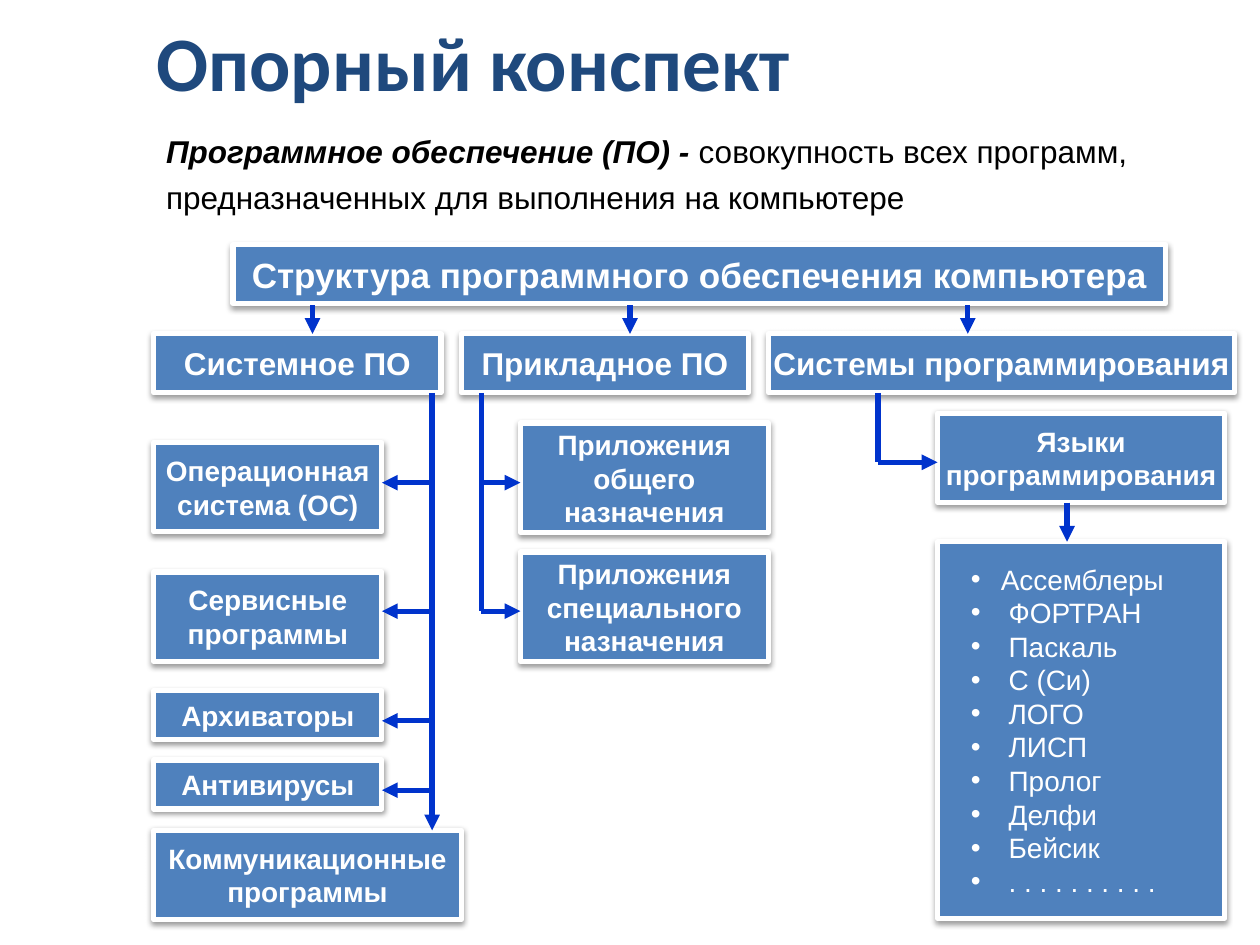
from lxml import etree
from pptx import Presentation
from pptx.dml.color import RGBColor
from pptx.enum import shapes, text
from pptx.oxml import ns
from pptx.util import Cm, Pt

BLUE, WHITE, INK, NAVY, BLACK = "4F81BD", "FFFFFF", "0033CC", "1F497D", "000000"
TITLE = "Опорный конспект"
TERM = "Программное обеспечение (ПО) -"
MEANING = [" совокупность всех программ,",
           "предназначенных для выполнения на компьютере"]
LANGS = ["Ассемблеры", "ФОРТРАН", "Паскаль", "С (Си)", "ЛОГО", "ЛИСП",
         "Пролог", "Делфи", "Бейсик", ". . . . . . . . . ."]

ROW, LEFT, APP, LANG = 6.73, 3.1, 10.49, 18.9
BOXES = [
    ("Структура программного обеспечения компьютера", 20, 4.7, 4.93, 18.8, 1.19),
    ("Системное ПО", 18, LEFT, ROW, 5.79, 1.19),
    ("Прикладное ПО", 18, 9.3, ROW, 5.79, 1.19),
    ("Системы программирования", 18, 15.49, ROW, 9.4, 1.19),
    ("Операционная\nсистема (ОС)", 16, LEFT, 8.92, 4.6, 1.8),
    ("Сервисные\nпрограммы", 16, LEFT, 11.53, 4.6, 1.8),
    ("Архиваторы", 16, LEFT, 13.92, 4.6, 0.99),
    ("Антивирусы", 16, LEFT, 15.32, 4.6, 0.99),
    ("Коммуникационные\nпрограммы", 16, LEFT, 16.74, 6.2, 1.8),
    ("Приложения\nобщего\nназначения", 16, APP, 8.53, 5, 2.21),
    ("Приложения\nспециального\nназначения", 16, APP, 11.13, 5, 2.21),
    ("Языки\nпрограммирования", 16, LANG, 8.33, 5.79, 1.8),
]
BASE = ROW + 1.19
SYS, USE, DEV = 8.71, 9.7, 17.7
TRUNKS = [(USE, BASE, USE, 12.32), (DEV, BASE, DEV, 9.32)]
ARROWS = [(x, 6.15, x, ROW) for x in (6.3, 12.7, 19.51)]
ARROWS += [(SYS, BASE, SYS, 16.74), (21.51, 10.13, 21.51, 10.92),
           (DEV, 9.32, LANG, 9.32)]
ARROWS += [(SYS, y, 7.7, y) for y in (9.73, 12.32, 14.53, 15.93)]
ARROWS += [(USE, y, APP, y) for y in (9.73, 12.32)]


def color(code):
    return RGBColor.from_string(code)


def place(shape, *spot):
    shape.left, shape.top, shape.width, shape.height = map(Cm, spot)


def style(font, size, code, bold=False, name="Arial"):
    font.size, font.bold, font.name = Pt(size), bold, name
    font.color.rgb = color(code)


def write(shape, lines, size, code, bold=False, wrap=True):
    frame = shape.text_frame
    frame.text = "\n".join(lines)
    frame.word_wrap = wrap
    frame.auto_size = text.MSO_AUTO_SIZE.NONE
    frame.vertical_anchor = text.MSO_ANCHOR.MIDDLE
    for para in frame.paragraphs:
        para.space_before = Pt(0)
        style(para.font, size, code, bold)
    return frame.paragraphs


def panel(shape):
    shape.fill.solid()
    shape.fill.fore_color.rgb = color(BLUE)
    shape.line.color.rgb = color(WHITE)
    shape.line.width = Pt(3)
    shape.shadow.inherit = False
    effects = shape._element.spPr.find(ns.qn("a:effectLst"))
    shade = etree.SubElement(effects, ns.qn("a:outerShdw"), blurRad="40000",
                             dist="20000", dir="5400000", rotWithShape="0")
    tint = etree.SubElement(shade, ns.qn("a:srgbClr"), val=BLACK)
    etree.SubElement(tint, ns.qn("a:alpha"), val="38000")


def link(slide, ends, tip):
    line = slide.shapes.add_connector(shapes.MSO_CONNECTOR.STRAIGHT, *map(Cm, ends))
    line.line.color.rgb = color(INK)
    line.line.width = Pt(3)
    props = line._element.spPr
    if tip:
        etree.SubElement(props.find(ns.qn("a:ln")), ns.qn("a:tailEnd"), type="triangle")
    etree.SubElement(props, ns.qn("a:effectLst"))


def main():
    deck = Presentation()
    deck.slide_width, deck.slide_height = Cm(25.4), Cm(19.05)
    slide = deck.slides.add_slide(deck.slide_layouts[1])

    title = slide.shapes.title
    place(title, 2.9, 0.53, 21.23, 1.75)
    head = write(title, [TITLE], 44, NAVY, True)[0]
    head.font.name = "Calibri"
    head.alignment, head.line_spacing = text.PP_ALIGN.LEFT, 0.8

    note = slide.shapes.add_textbox(Cm(LEFT), Cm(2.31), Cm(21.62), Cm(2.39))
    note.fill.solid()
    note.fill.fore_color.rgb = color(WHITE)
    paras = write(note, [TERM, MEANING[1]], 18, BLACK)
    for para in paras:
        para.alignment, para.space_before = text.PP_ALIGN.JUSTIFY, Pt(4.5)
    term = paras[0].runs[0].font
    term.bold = term.italic = True
    paras[0].add_run().text = MEANING[0]

    body = slide.placeholders[1]
    place(body, LANG, 10.92, 5.79, 7.59)
    panel(body)
    for num, para in enumerate(write(body, LANGS, 16, WHITE)):
        shift = 0.16 if num else 0
        props = para._p.get_or_add_pPr()
        props.set("marL", str(Cm(1.02 + shift)))
        props.set("indent", str(Cm(-0.6 - shift)))

    for label, size, *spot in BOXES:
        box = slide.shapes.add_shape(shapes.MSO_SHAPE.RECTANGLE, *map(Cm, spot))
        panel(box)
        for para in write(box, label.split("\n"), size, WHITE, True, False):
            para.alignment = text.PP_ALIGN.CENTER

    for ends in TRUNKS:
        link(slide, ends, False)
    for ends in ARROWS:
        link(slide, ends, True)
    deck.save("out.pptx")


if __name__ == "__main__":
    main()
